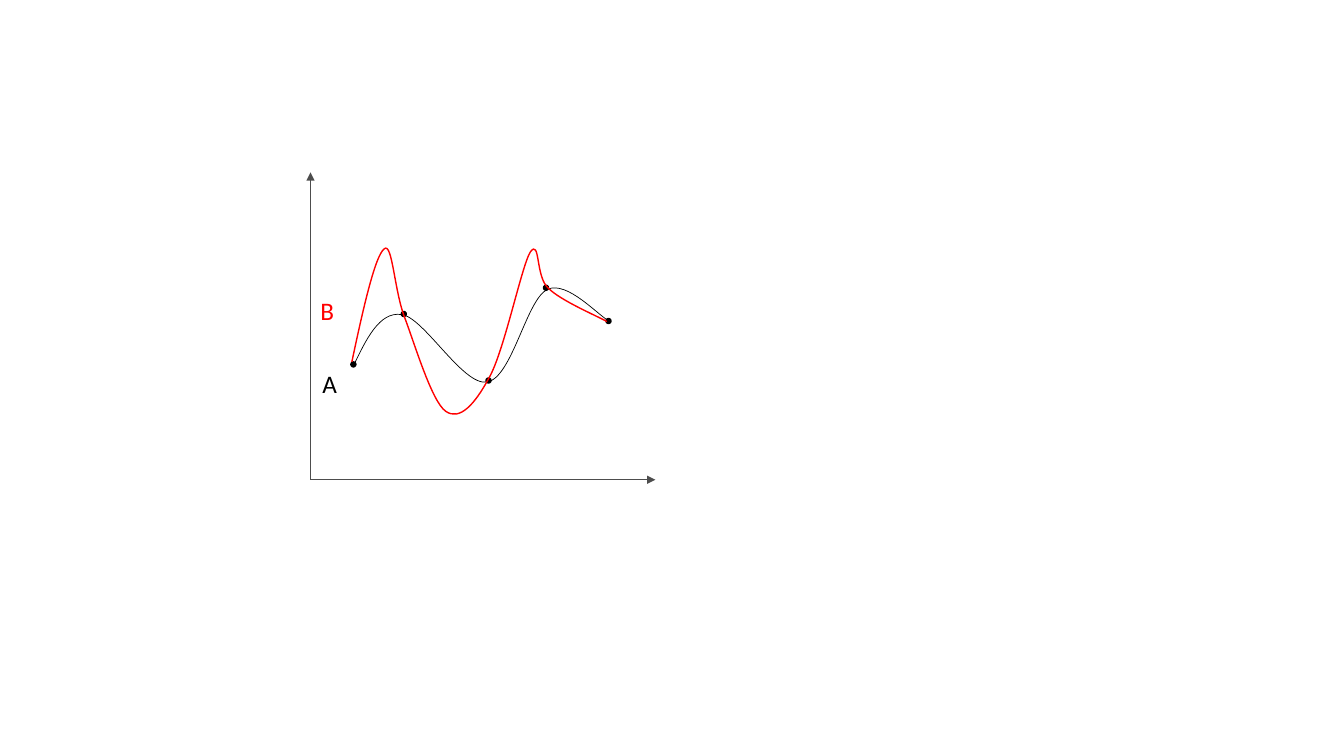
from pptx import Presentation
from pptx import util as u
from pptx.dml.color import RGBColor
from pptx.enum import shapes, text
from pptx.oxml.ns import qn
from lxml import etree

BLACK = RGBColor(0x00, 0x00, 0x00)
RED = RGBColor(0xFF, 0x00, 0x00)
GREY = RGBColor(0x4D, 0x4D, 0x4D)


def px(length):
    """Turn px (100 to the inch) into EMU."""
    return u.Emu(length * 9144)


class Sketch:
    font = "Calibri"
    font_size = u.Pt(18)
    dot_size = 5

    def __init__(self, slide):
        self.slide = slide

    def axis(self, start, end):
        line = self.slide.shapes.add_connector(
            shapes.MSO_CONNECTOR.STRAIGHT, *map(px, start + end))
        line.line.color.rgb = GREY
        line.line.width = u.Pt(0.5)
        etree.SubElement(line.line._get_or_add_ln(), qn("a:tailEnd"), type="triangle")
        etree.SubElement(line._element.spPr, qn("a:effectLst"))

    def dot(self, left, top):
        shape = self.slide.shapes.add_shape(
            shapes.MSO_SHAPE.OVAL, px(left), px(top), px(self.dot_size), px(self.dot_size))
        shape.shadow.inherit = False
        shape.fill.solid()
        shape.fill.fore_color.rgb = BLACK
        shape.line.color.rgb = BLACK
        shape.line.width = u.Pt(1)

    def curve(self, start, segments, color, width):
        builder = self.slide.shapes.build_freeform(*map(px, start))
        builder.add_line_segments(
            [tuple(map(px, segment[-1])) for segment in segments], close=False)
        shape = builder.convert_to_shape()
        shape.shadow.inherit = False
        shape.fill.background()
        shape.line.color.rgb = color
        shape.line.width = u.Pt(width)

        # Bend each straight segment into a cubic one
        straight_lines = list(shape._element.iter(qn("a:lnTo")))
        for straight, segment in zip(straight_lines, segments):
            cubic = etree.Element(qn("a:cubicBezTo"))
            for x, y in segment:
                etree.SubElement(cubic, qn("a:pt"),
                                 x=str(px(x) - shape.left), y=str(px(y) - shape.top))
            straight.getparent().replace(straight, cubic)

    def label(self, caption, left, top, color, wrap):
        box = self.slide.shapes.add_textbox(px(left), px(top), px(35), px(40))
        frame = box.text_frame
        frame.word_wrap = wrap
        frame.auto_size = text.MSO_AUTO_SIZE.SHAPE_TO_FIT_TEXT
        paragraph = frame.paragraphs[0]
        paragraph.text = caption
        paragraph.font.name = self.font
        paragraph.font.size = self.font_size
        paragraph.font.color.rgb = color


def main():
    presentation = Presentation()
    presentation.slide_width = px(1333)
    presentation.slide_height = px(750)
    sketch = Sketch(presentation.slides.add_slide(presentation.slide_layouts[6]))

    # Axes
    origin = (308, 476)
    for tip in ((308, 171), (650, 476)):
        sketch.axis(origin, tip)

    # Shared data points
    for left, top in ((348, 359), (398, 309), (482, 375), (539, 283), (601, 316)):
        sketch.dot(left, top)

    # Smooth curve A
    sketch.curve((350, 364), [
        ((363, 337), (376, 309), (398, 312)),
        ((420, 314), (459, 383), (483, 379)),
        ((508, 375), (522, 297), (543, 287)),
        ((563, 278), (594, 314), (605, 319)),
    ], BLACK, 0.5)

    # Oscillating curve B
    sketch.curve((349, 359), [
        ((360, 307), (372, 254), (381, 247)),
        ((389, 239), (391, 287), (401, 314)),
        ((411, 340), (428, 398), (442, 408)),
        ((456, 418), (471, 401), (485, 375)),
        ((500, 349), (517, 265), (526, 250)),
        ((536, 236), (531, 275), (544, 286)),
        ((556, 298), (589, 312), (602, 319)),
    ], RED, 1)

    # Curve names
    sketch.label("A", 310, 361, BLACK, wrap=False)
    sketch.label("B", 308, 288, RED, wrap=True)

    presentation.save("out.pptx")


if __name__ == "__main__":
    main()
